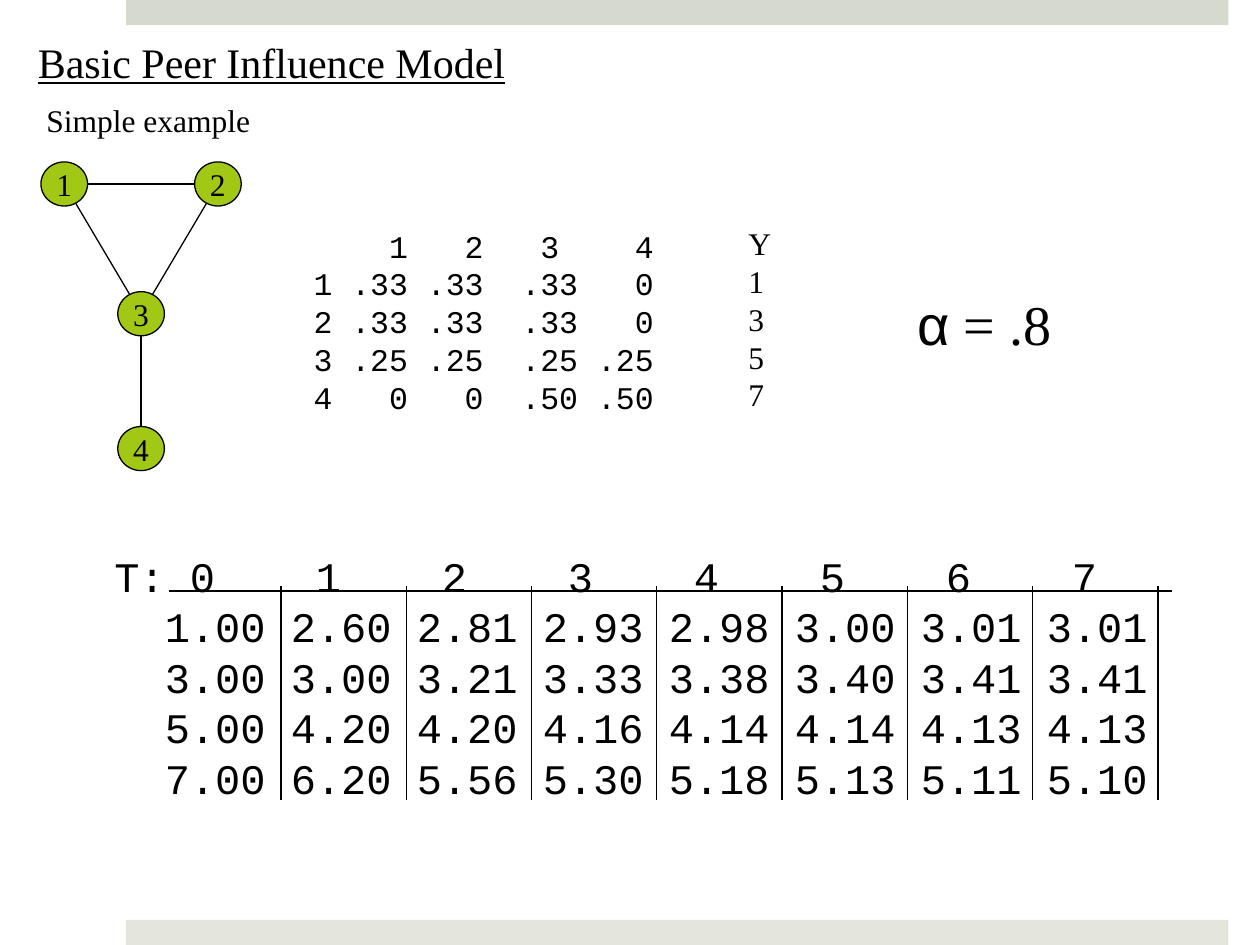
from lxml import etree
from pptx import Presentation
from pptx import util as u
from pptx.dml.color import RGBColor
from pptx.enum import shapes, text
from pptx.oxml.ns import qn

SERIF, MONO = "Times New Roman", "Courier New"
Inches = u.Inches


def write(frame, content, size=18, font=SERIF, color="000000", underline=None,
          align=text.PP_ALIGN.LEFT, anchor=text.MSO_ANCHOR.TOP, wrap=False,
          stops=None, stop_align="r"):
    """Fill a frame; each line is a string or a list of (text, font) runs.

    stops holds one list of tab positions in inches for each line.
    """
    frame.word_wrap = wrap
    frame.auto_size = text.MSO_AUTO_SIZE.NONE
    frame.vertical_anchor = anchor
    for i, line in enumerate(content if isinstance(content, list) else [content]):
        paragraph = frame.paragraphs[0] if i == 0 else frame.add_paragraph()
        paragraph.alignment = align
        for part, face in [(line, font)] if isinstance(line, str) else line:
            run = paragraph.add_run()
            run.text = part
            run.font.size, run.font.name = u.Pt(size), face
            run.font.underline = underline
            run.font.color.rgb = RGBColor.from_string(color)
        if stops:
            tabs = etree.SubElement(paragraph._p.get_or_add_pPr(), qn("a:tabLst"))
            for stop in stops[i]:
                etree.SubElement(tabs, qn("a:tab"), pos=str(Inches(stop)), algn=stop_align)


def draw_line(x1, y1, x2, y2):
    line = slide.shapes.add_connector(shapes.MSO_CONNECTOR.STRAIGHT,
                                      Inches(x1), Inches(y1), Inches(x2), Inches(y2))
    line.line.color.rgb = RGBColor.from_string("000000")
    line.line.width = u.Pt(0.75)
    etree.SubElement(line._element.spPr, qn("a:effectLst"))


deck = Presentation()
deck.slide_width, deck.slide_height = Inches(10), Inches(7.5)
slide = deck.slides.add_slide(deck.slide_layouts[5])

# Bars at the top and bottom edges
for top, shade in [(0, "D6D9CD"), (7.3, "E4E6DE")]:
    bar = slide.shapes.add_shape(shapes.MSO_SHAPE.RECTANGLE, Inches(1), Inches(top),
                                 Inches(8.75), Inches(0.2))
    bar.shadow.inherit = False
    bar.fill.solid()
    bar.fill.fore_color.rgb = RGBColor.from_string(shade)
    bar.line.fill.background()

# Title and subtitle
title = slide.shapes.title
title.left, title.top, title.width, title.height = map(Inches, (0.2, 0.24, 4.2, 0.5))
write(title.text_frame, "Basic Peer Influence Model", size=24, underline=True)
subtitle = slide.shapes.add_textbox(*map(Inches, (0.27, 0.75, 1.82, 0.4)))
write(subtitle.text_frame, "Simple example")

# Network: edges run between node centres, behind the nodes
centres = {"1": (0.51, 1.46), "2": (1.73, 1.46), "3": (1.12, 2.49), "4": (1.12, 3.56)}
for start, end in ["34", "12", "23", "13"]:
    draw_line(*centres[start], *centres[end])
node_width, node_height = 0.37, 0.35
for label, (x, y) in centres.items():
    node = slide.shapes.add_shape(
        shapes.MSO_SHAPE.OVAL, Inches(x - node_width / 2), Inches(y - node_height / 2),
        Inches(node_width), Inches(node_height))
    node.shadow.inherit = False
    node.fill.solid()
    node.fill.fore_color.rgb = RGBColor.from_string("A2C816")
    node.line.color.rgb = RGBColor.from_string("000000")
    node.line.width = u.Pt(0.75)
    write(node.text_frame, label, align=text.PP_ALIGN.CENTER,
          anchor=text.MSO_ANCHOR.MIDDLE)

# Weight matrix, with tab stops counted in 0.15 inch characters
weights = ["\t1\t2\t3\t4", "1\t.33\t.33\t.33\t0", "2\t.33\t.33\t.33\t0",
           "3\t.25\t.25\t.25\t.25", "4\t0\t0\t.50\t.50"]
header_stops = [0.15 * n for n in (5, 9, 13, 18)]
weight_stops = [0.15 * n for n in (5, 9, 14, 18)]
matrix = slide.shapes.add_textbox(*map(Inches, (2.39, 1.75, 3, 1.6)))
write(matrix.text_frame, weights, font=MONO, wrap=True,
      stops=[header_stops] + [weight_stops] * 4)

# Starting values and alpha
outcomes = slide.shapes.add_textbox(*map(Inches, (5.84, 1.73, 0.38, 1.6)))
write(outcomes.text_frame, ["Y", "1", "3", "5", "7"])
alpha = slide.shapes.add_textbox(*map(Inches, (7.18, 2.25, 1.29, 0.64)))
write(alpha.text_frame, [[("α", "Arial"), (" = .8", SERIF)]], size=32)

# Values over time, with tab stops counted in 0.2 inch characters
history = ["T: 0 1 2 3 4 5 6 7",
           " 1.00 2.60 2.81 2.93 2.98 3.00 3.01 3.01",
           " 3.00 3.00 3.21 3.33 3.38 3.40 3.41 3.41",
           " 5.00 4.20 4.20 4.16 4.14 4.14 4.13 4.13",
           " 7.00 6.20 5.56 5.30 5.18 5.13 5.11 5.10"]
period_stops = [0.6 + i for i in range(8)]
value_stops = [0.4 + i for i in range(8)]
timeline = slide.shapes.add_textbox(*map(Inches, (0.81, 4.32, 8.8, 2.1)))
write(timeline.text_frame, [row.replace(" ", "\t") for row in history], size=24,
      font=MONO, wrap=True, stops=[period_stops] + [value_stops] * 4, stop_align="l")

# Rules of the time table
draw_line(1.34, 4.69, 9.3, 4.69)
for i in range(8):
    x = 2.23 + i * 6.96 / 7
    draw_line(x, 4.65, x, 6.35)

deck.save("out.pptx")
